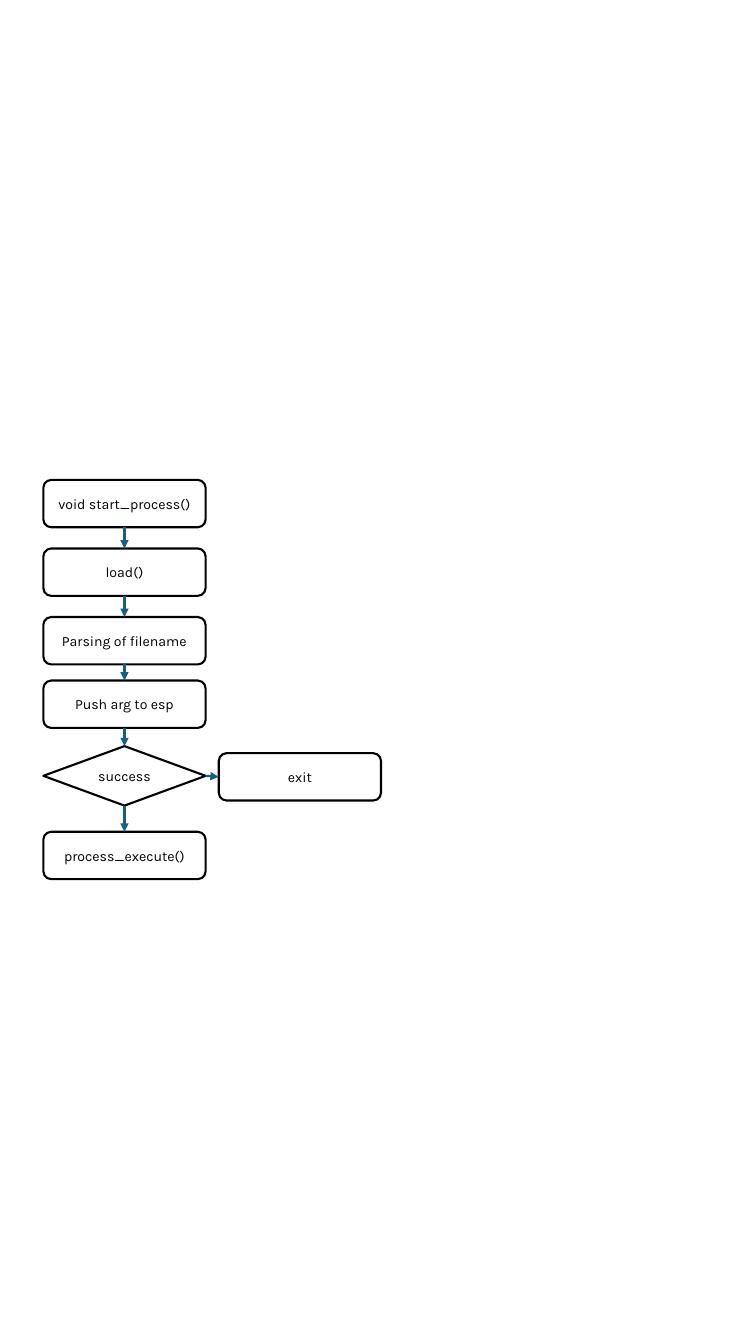
import pptx
import pptx.dml.color
import pptx.enum.shapes
import pptx.enum.text
import pptx.oxml
import pptx.util
from pptx.enum.shapes import MSO_CONNECTOR, MSO_SHAPE
from pptx.util import Inches

STEP_WIDTH = 1.61
STEP_HEIGHT = 0.47
DECISION_HEIGHT = 0.59
EXIT_OFFSET = 1.74
LINE_WIDTH = 1.5
TOP, LEFT, BOTTOM, RIGHT = range(4)

PROCESS = MSO_SHAPE.FLOWCHART_ALTERNATE_PROCESS
DECISION = MSO_SHAPE.FLOWCHART_DECISION

STEPS = [
    ("void start_process()", 0, PROCESS, STEP_HEIGHT),
    ("load()", 0.68, PROCESS, STEP_HEIGHT),
    ("Parsing of filename", 1.36, PROCESS, STEP_HEIGHT),
    ("Push arg to esp", 1.99, PROCESS, STEP_HEIGHT),
    ("success", 2.64, DECISION, DECISION_HEIGHT),
    ("process_execute()", 3.49, PROCESS, STEP_HEIGHT),
]


def color(value):
    return pptx.dml.color.RGBColor.from_string(value)


def add_step(slide, kind, text, left, top, height):
    shape = slide.shapes.add_shape(
        kind, Inches(left), Inches(top), Inches(STEP_WIDTH), Inches(height)
    )
    shape.shadow.inherit = False
    shape.fill.solid()
    shape.fill.fore_color.rgb = color("FFFFFF")
    shape.line.color.rgb = color("000000")
    shape.line.width = pptx.util.Pt(LINE_WIDTH)
    frame = shape.text_frame
    frame.word_wrap = True
    frame.margin_left = frame.margin_right = Inches(0.05)
    frame.vertical_anchor = pptx.enum.text.MSO_ANCHOR.MIDDLE
    paragraph = frame.paragraphs[0]
    paragraph.alignment = pptx.enum.text.PP_ALIGN.CENTER
    run = paragraph.add_run()
    run.text = text
    run.font.name = "Karla"
    run.font.size = pptx.util.Pt(10.1)
    run.font.color.rgb = color("000000")
    return shape


def add_arrow(slide, source, source_side, target, target_side):
    arrow = slide.shapes.add_connector(MSO_CONNECTOR.STRAIGHT, 0, 0, 0, 0)
    arrow.begin_connect(source, source_side)
    arrow.end_connect(target, target_side)
    arrow.line.color.rgb = color("156082")
    arrow.line.width = pptx.util.Pt(LINE_WIDTH)
    namespace = pptx.oxml.ns.nsdecls("a")
    arrow.line._get_or_add_ln().append(
        pptx.oxml.parse_xml(f'<a:tailEnd {namespace} type="triangle"/>')
    )
    arrow._element.spPr.append(pptx.oxml.parse_xml(f"<a:effectLst {namespace}/>"))


def add_flowchart(slide, left, top):
    shapes = [
        add_step(slide, kind, text, left, top + offset, height)
        for text, offset, kind, height in STEPS
    ]
    for source, target in zip(shapes, shapes[1:]):
        add_arrow(slide, source, BOTTOM, target, TOP)
    exit_step = add_step(
        slide, PROCESS, "exit", left + EXIT_OFFSET, top + 2.71, STEP_HEIGHT
    )
    add_arrow(slide, shapes[4], RIGHT, exit_step, LEFT)


def main():
    presentation = pptx.Presentation()
    presentation.slide_width = Inches(7.5)
    presentation.slide_height = Inches(13.33)
    slide = presentation.slides.add_slide(presentation.slide_layouts[6])
    slide.background.fill.solid()
    slide.background.fill.fore_color.rgb = color("FFFFFF")
    add_flowchart(slide, 0.43, 4.76)
    presentation.save("out.pptx")


if __name__ == "__main__":
    main()
